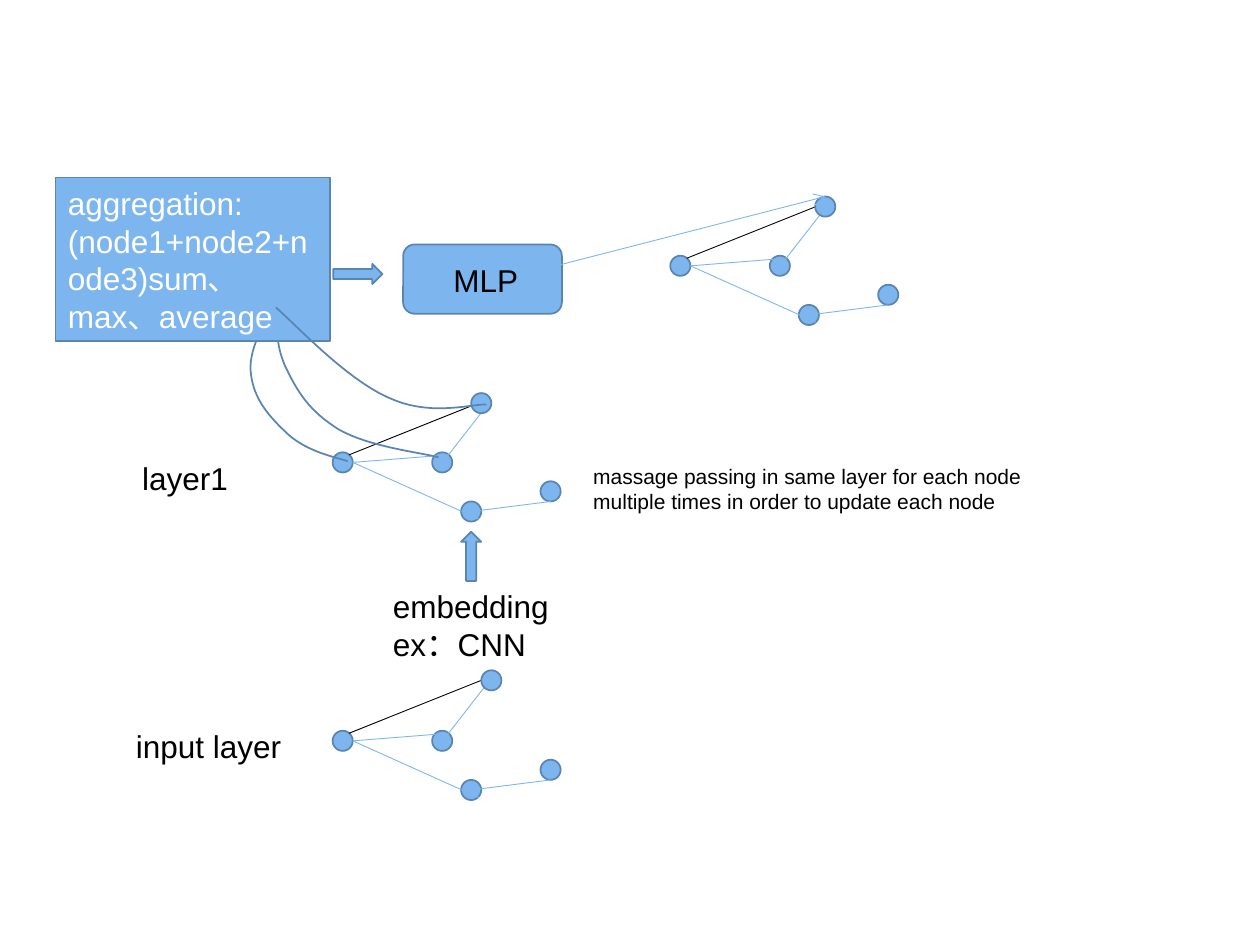
from lxml.etree import SubElement
from pptx import Presentation
from pptx.dml.color import RGBColor
from pptx.enum.shapes import MSO_CONNECTOR as CONN, MSO_SHAPE as SHAPE
from pptx.enum.text import MSO_ANCHOR as ANCHOR, PP_ALIGN as ALIGN
from pptx.oxml.ns import qn
from pptx.util import Inches, Pt

THEME = {
    "font": "Arial", "body": 18, "note": 12, "outline": 1, "edge": 0.5,
    "fill": "7DB6EF", "line": "5A85B0", "ink": "000000", "light": "FFFFFF",
}
NODE = 0.16

GRAPHS = [
    {"at": (2.64, 5.8), "top": (1.18, -0.48)},
    {"at": (2.64, 3.59), "top": (1.1, -0.47)},
    {"at": (5.32, 2.03), "top": (1.15, -0.47)},
]
NODES = [(0, 0), (0.79, 0), (1.65, 0.23), (1.02, 0.39)]
EDGES = [
    ((0.13, 0.02), (1.18, -0.4), "ink"),
    ((1.2, -0.34), (0.92, 0.02), "fill"),
    ((0.16, 0.08), (1.16, 0.53), "fill"),
    ((0.92, 0.02), (0.16, 0.08), "fill"),
    ((1.73, 0.39), (1.1, 0.47), "fill"),
]
LABELS = [
    (["input layer"], (0.98, 5.72, 1.52, 0.4), "body"),
    (["embedding", "ex：CNN"], (3.02, 4.61, 1.75, 0.7), "body"),
    (["massage passing in same layer for each node multiple times "
      "in order to update each node"], (4.61, 3.63, 4.15, 0.5), "note"),
    (["MLP"], (3.5, 2.02, 0.96, 0.4), "body"),
    (["layer1"], (1.03, 3.59, 1.42, 0.4), "body"),
]
BLOCKS = [
    (SHAPE.UP_ARROW, (3.66, 4.22, 0.16, 0.39), 0),
    (SHAPE.ROUNDED_RECTANGLE, (3.2, 1.94, 1.26, 0.55), 0),
    (SHAPE.UP_ARROW, (2.76, 1.98, 0.16, 0.39), 90),
]
AGGREGATION = "aggregation:(node1+node2+node3)sum、max、average"
AGGREGATION_BOX = (0.44, 1.41, 2.18, 1.3)
MLP_OUTPUT = ((4.45, 2.1), (6.55, 1.56))
CURVES_BEHIND = [
    [(2.76, 3.66), (2.67, 3.63), (2.45, 3.59), (2.29, 3.45), (2.14, 3.31),
     (2.01, 3.17), (1.99, 2.95), (1.97, 2.74), (2.15, 2.49), (2.19, 2.37)],
    [(3.48, 3.63), (3.33, 3.59), (2.94, 3.55), (2.69, 3.41), (2.45, 3.26),
     (2.36, 3.11), (2.26, 2.9), (2.17, 2.69), (2.2, 2.48), (2.21, 2.36)],
]
CURVE_IN_FRONT = [(3.86, 3.21), (3.72, 3.21), (3.4, 3.31), (3.07, 3.15),
                  (2.74, 3), (2.35, 2.58), (2.19, 2.44)]


def color(name):
    return RGBColor.from_string(THEME[name])


def outline(sp):
    sp.shadow.inherit = False
    sp.line.color.rgb = color("line")
    sp.line.width = Pt(THEME["outline"])


def add_block(shapes, kind, box, rotation=0):
    sp = shapes.add_shape(kind, *map(Inches, box))
    sp.fill.solid()
    sp.fill.fore_color.rgb = color("fill")
    sp.rotation = rotation
    outline(sp)
    return sp


def add_edge(shapes, start, end, ink):
    c = shapes.add_connector(CONN.STRAIGHT, *map(Inches, (*start, *end)))
    c.line.color.rgb = color(ink)
    c.line.width = Pt(THEME["edge"])
    SubElement(c._element.spPr, qn("a:effectLst"))
    return c


def add_graph(shapes, at, top):
    def place(offset):
        return at[0] + offset[0], at[1] + offset[1]

    def add_node(offset):
        add_block(shapes, SHAPE.OVAL, (*place(offset), NODE, NODE))

    for offset in NODES:
        add_node(offset)
    for start, end, ink in EDGES:
        add_edge(shapes, place(start), place(end), ink)
    add_node(top)


def bezier(points, steps=16):
    for i in range(0, len(points) - 1, 3):
        a, b, c, d = points[i:i + 4]
        for t in (n / steps for n in range(1, steps + 1)):
            u = 1 - t
            yield tuple(u**3 * a[k] + 3 * u * u * t * b[k]
                        + 3 * u * t * t * c[k] + t**3 * d[k] for k in (0, 1))


def add_curve(shapes, points):
    start, *rest = [tuple(map(Inches, xy)) for xy in (points[0], *bezier(points))]
    builder = shapes.build_freeform(*start)
    builder.add_line_segments(rest, close=False)
    sp = builder.convert_to_shape()
    sp.fill.background()
    outline(sp)


def write(sp, lines, size, ink):
    tf = sp.text_frame
    tf.word_wrap = True
    tf.vertical_anchor = ANCHOR.TOP
    tf.text = "\n".join(lines)
    for p in tf.paragraphs:
        p.alignment = ALIGN.LEFT
        for r in p.runs:
            r.font.name = THEME["font"]
            r.font.size = Pt(THEME[size])
            r.font.color.rgb = color(ink)


def main():
    prs = Presentation()
    prs.slide_width, prs.slide_height = Inches(10), Inches(7.5)
    shapes = prs.slides.add_slide(prs.slide_layouts[6]).shapes

    for graph in GRAPHS:
        add_graph(shapes, **graph)
    for kind, box, rotation in BLOCKS:
        add_block(shapes, kind, box, rotation)
    for lines, box, size in LABELS:
        write(shapes.add_textbox(*map(Inches, box)), lines, size, "ink")

    for points in CURVES_BEHIND:
        add_curve(shapes, points)
    sp = add_block(shapes, SHAPE.RECTANGLE, AGGREGATION_BOX)
    write(sp, [AGGREGATION], "body", "light")

    arrow = add_edge(shapes, *MLP_OUTPUT, "fill")
    SubElement(arrow.line._get_or_add_ln(), qn("a:tailEnd"), type="arrow")
    add_curve(shapes, CURVE_IN_FRONT)

    prs.save("out.pptx")


if __name__ == "__main__":
    main()
